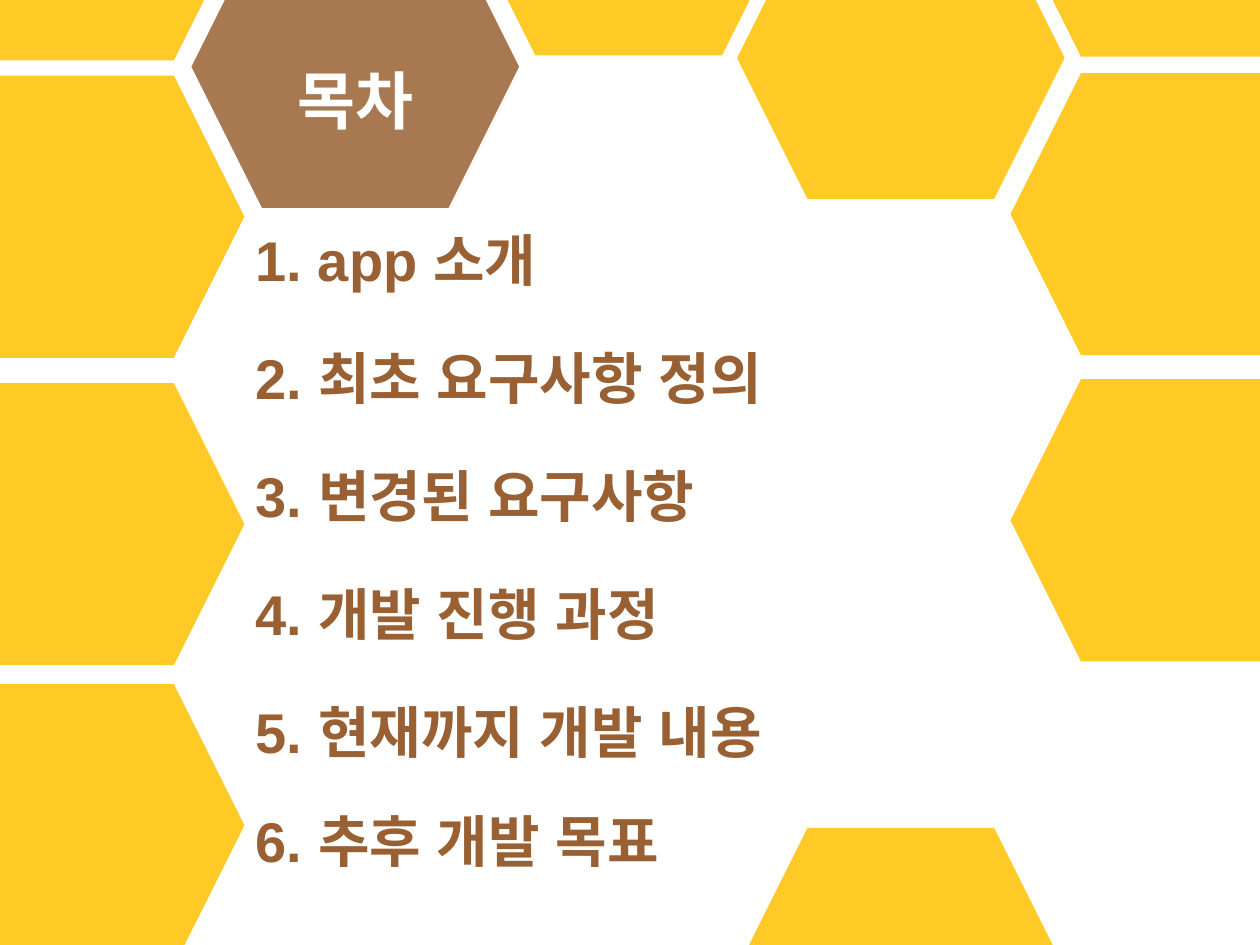
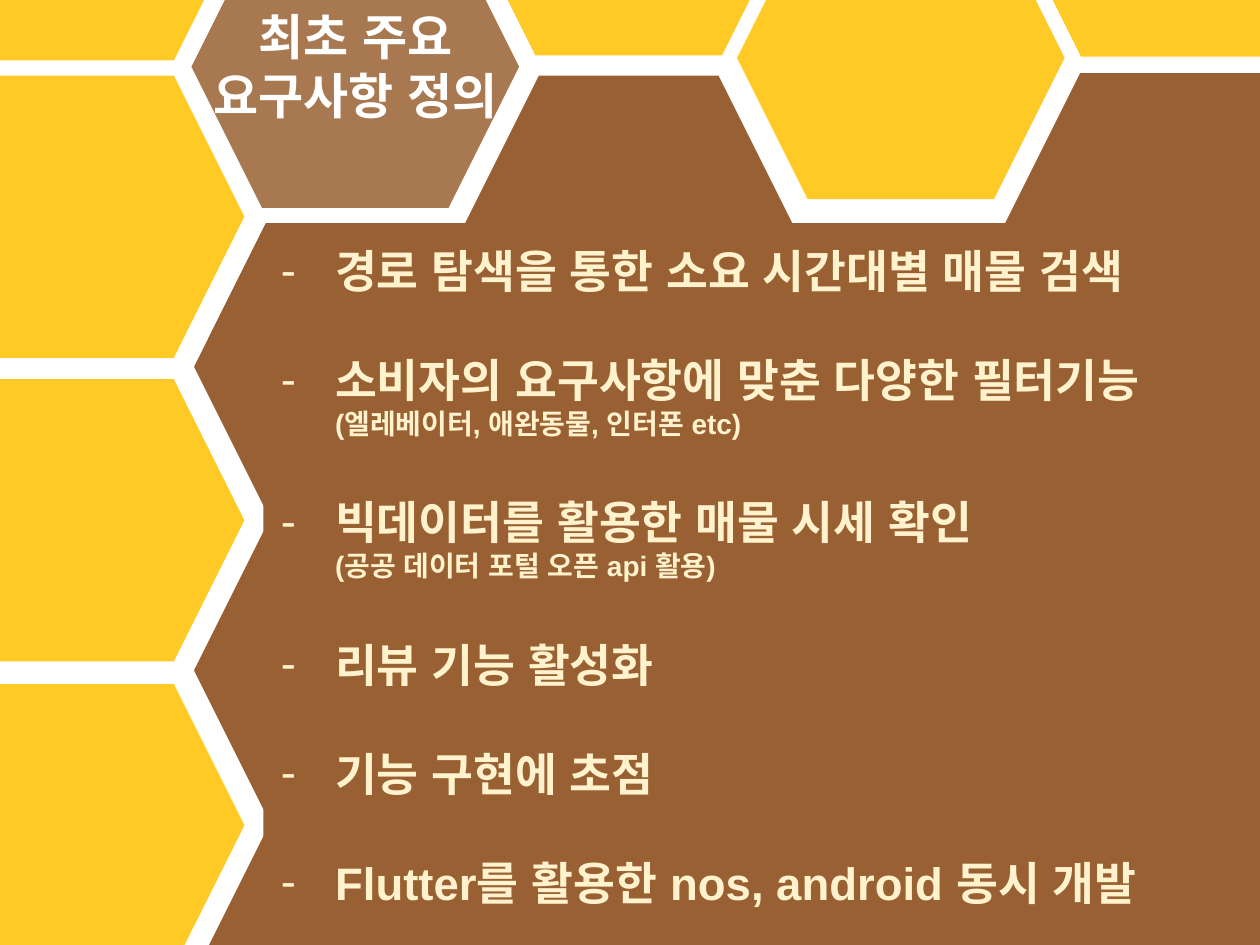
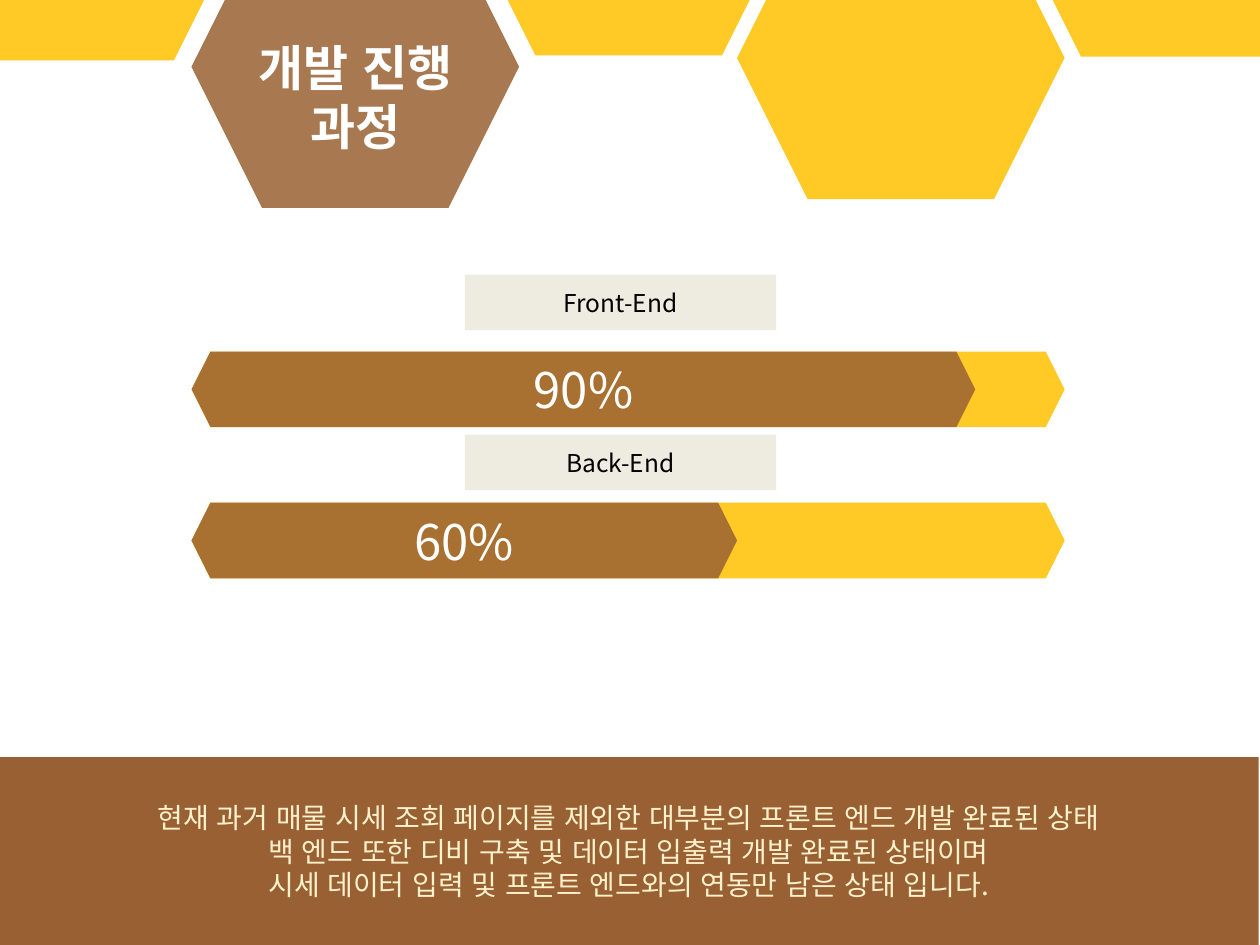
from lxml.etree import SubElement
from pptx import Presentation
from pptx.dml.color import RGBColor
from pptx.enum.lang import MSO_LANGUAGE_ID as LANG
from pptx.enum.shapes import MSO_SHAPE as SHAPE
from pptx.enum.text import MSO_ANCHOR as ANCHOR, MSO_AUTO_SIZE as AUTO_SIZE, PP_ALIGN as ALIGN
from pptx.oxml.ns import qn
from pptx.util import Inches, Pt

COLORS = {
    "honey": "FFC000",
    "brown": "996133",
    "cream": "FFF2CC",
    "label": "EEECE1",
    "white": "FFFFFF",
    "black": "000000",
}
LATIN_FONT, KOREAN_FONT = "Arial", "Noto Sans CJK KR"
COLUMNS = [-0.66, 1.52, 3.69, 5.85, 8.02]
CELL_SIZE = (2.6, 2.24)
TOP_CELLS = [(4, -1.79), (2, -1.8), (0, -1.76), (3, -0.66)]

AGENDA = ["1. app 소개", "2. 최초 요구사항 정의", "3. 변경된 요구사항",
          "4. 개발 진행 과정", "5. 현재까지 개발 내용", "6. 추후 개발 목표"]
REQUIREMENTS = [
    ("경로 탐색을 통한 소요 시간대별 매물 검색", None),
    ("소비자의 요구사항에 맞춘 다양한 필터기능", "(엘레베이터, 애완동물, 인터폰 etc)"),
    ("빅데이터를 활용한 매물 시세 확인", "(공공 데이터 포털 오픈 api 활용)"),
    ("리뷰 기능 활성화", None),
    ("기능 구현에 초점", None),
    ("Flutter를 활용한 nos, android 동시 개발", None),
]
STATUS = ["현재 과거 매물 시세 조회 페이지를 제외한 대부분의 프론트 엔드 개발 완료된 상태",
          "백 엔드 또한 디비 구축 및 데이터 입출력 개발 완료된 상태이며",
          "시세 데이터 입력 및 프론트 엔드와의 연동만 남은 상태 입니다."]
# label, label top, bar top, share done, width of the done part
PROGRESS = [("Front-End", 2.18, 2.79, "90%", 6.22),
            ("Back-End", 3.45, 3.99, "60%", 4.33)]
# brown cells that give the requirements panel its honeycomb edge
PANEL_CELLS = [(5.85, 6.57, 2.6, 2.24), (1.54, 1.77, 2.62, 2.28),
               (3.68, 0.6, 2.62, 2.39), (5.87, 1.8, 2.6, 2.24),
               (7.97, 0.58, 2.65, 2.41), (1.54, 4.2, 2.6, 2.24),
               (1.54, 6.62, 2.6, 2.24)]
PANEL_BLOCKS = [(2.09, 2.2, 8.82, 6.6), (2.19, 1.77, 8.19, 1.82)]


def color(name):
    return RGBColor.from_string(COLORS[name])


def add_block(shapes, kind, box, fill, alpha=None):
    block = shapes.add_shape(kind, *map(Inches, box))
    block.shadow.inherit = False
    block.fill.solid()
    block.fill.fore_color.rgb = color(fill)
    block.line.fill.background()
    if alpha:
        rgb = block.element.spPr.find(qn("a:solidFill"))[0]
        SubElement(rgb, qn("a:alpha"), val=str(alpha * 1000))
    return block


def add_cell(slide, column, top, fill="honey"):
    add_block(slide.shapes, SHAPE.HEXAGON, (COLUMNS[column], top, *CELL_SIZE), fill, 85)


def add_run(paragraph, text, size, ink, font=LATIN_FONT, bold=False):
    run = paragraph.add_run()
    run.text = text
    run.font.size, run.font.bold = Pt(size), bold
    run.font.color.rgb = color(ink)
    run.font.name = font
    run.font.language_id = LANG.KOREAN
    # Korean glyphs take the East Asian font
    SubElement(run._r.rPr, qn("a:ea"), typeface=KOREAN_FONT)


def next_paragraph(frame, index):
    return frame.add_paragraph() if index else frame.paragraphs[0]


def write_centered(frame, lines, size, ink, font=KOREAN_FONT, bold=False):
    for index, line in enumerate(lines):
        paragraph = next_paragraph(frame, index)
        paragraph.alignment = ALIGN.CENTER
        add_run(paragraph, line, size, ink, font, bold)


def place(holder, box):
    """Move a placeholder to its box, in front of the honeycomb."""
    holder.left, holder.top, holder.width, holder.height = map(Inches, box)
    holder.element.getparent().append(holder.element)
    frame = holder.text_frame
    frame.word_wrap = True
    frame.auto_size = AUTO_SIZE.NONE
    frame.vertical_anchor = ANCHOR.TOP
    return frame


def add_title(slide, lines, top, height, size=28):
    add_cell(slide, 1, -0.59, "brown")
    frame = place(slide.shapes.title, (1.6, top, 2.44, height))
    frame.margin_left = frame.margin_right = Inches(0.02)
    write_centered(frame, lines, size, "white", LATIN_FONT, True)


def set_indent(paragraph, left, first=0.0, bullet=None):
    props = paragraph._p.get_or_add_pPr()
    props.set("marL", str(Inches(left)))
    props.set("indent", str(Inches(first)))
    if bullet:
        ink = SubElement(props, qn("a:buClr"))
        SubElement(ink, qn("a:srgbClr"), val=COLORS["cream"])
        SubElement(props, qn("a:buFont"), typeface=LATIN_FONT)
        SubElement(props, qn("a:buChar"), char=bullet)
    else:
        SubElement(props, qn("a:buNone"))


def new_slide(deck, layout):
    slide = deck.slides.add_slide(deck.slide_layouts[layout])
    slide.background.fill.solid()
    slide.background.fill.fore_color.rgb = color("white")
    return slide


def add_top_cells(slide):
    for column, top in TOP_CELLS:
        add_cell(slide, column, top)


def build_agenda(deck):
    slide = new_slide(deck, 1)
    add_top_cells(slide)
    for column, top in [(3, 6.57), (4, 0.58), (4, 3.01), (0, 5.43), (0, 0.6), (0, 3.04)]:
        add_cell(slide, column, top)
    add_title(slide, ["목차"], 0.44, 0.71, 36)

    agenda = place(slide.placeholders[1], (1.93, 1.74, 5.23, 5.25))
    for index, topic in enumerate(AGENDA):
        paragraph = next_paragraph(agenda, index)
        set_indent(paragraph, 0)
        last = index == len(AGENDA) - 1
        paragraph.space_before = Pt(0 if index == 0 else 24 if last else 29)
        add_run(paragraph, topic, 32, "brown", bold=True)


def build_requirements(deck):
    slide = new_slide(deck, 1)
    # Brown panel behind the honeycomb
    panel = slide.shapes.add_group_shape()
    for kind, boxes in [(SHAPE.HEXAGON, PANEL_CELLS), (SHAPE.RECTANGLE, PANEL_BLOCKS)]:
        for box in boxes:
            add_block(panel.shapes, kind, box, "brown")
    add_top_cells(slide)
    for top in (5.43, 0.6, 3.01):
        add_cell(slide, 0, top)
    add_title(slide, ["최초 주요 요구사항 정의"], 0, 1.52)

    # Requirements, some with a smaller remark below
    body = place(slide.placeholders[1], (2.06, 1.88, 8.32, 5.89))
    for index, (requirement, remark) in enumerate(REQUIREMENTS):
        paragraph = next_paragraph(body, index)
        set_indent(paragraph, 0.5, -0.43, "-")
        paragraph.space_before = Pt(31 if index else 0)
        add_run(paragraph, requirement, 26, "cream", bold=True)
        if remark:
            paragraph = body.add_paragraph()
            set_indent(paragraph, 0.5)
            paragraph.space_before = Pt(0)
            add_run(paragraph, remark, 16, "cream", bold=True)


def add_progress(slide, label, label_top, bar_top, share, done_width):
    add_block(slide.shapes, SHAPE.HEXAGON, (1.52, bar_top, 6.93, 0.6), "honey", 85)
    done = add_block(slide.shapes, SHAPE.HEXAGON, (1.52, bar_top, done_width, 0.6), "brown", 85)
    write_centered(done.text_frame, [share], 28, "white")
    tag = add_block(slide.shapes, SHAPE.RECTANGLE, (3.69, label_top, 2.47, 0.44), "label")
    write_centered(tag.text_frame, [label], 14, "black")


def build_progress(deck):
    slide = new_slide(deck, 5)
    status = add_block(slide.shapes, SHAPE.RECTANGLE, (-0.01, 6.01, 10, 1.49), "brown")
    write_centered(status.text_frame, STATUS, 16, "cream")
    add_top_cells(slide)
    add_title(slide, ["개발 진행", "과정"], 0.25, 1.04)
    for stage in PROGRESS:
        add_progress(slide, *stage)


def main():
    deck = Presentation()
    deck.slide_width, deck.slide_height = Inches(10), Inches(7.5)
    build_agenda(deck)
    build_requirements(deck)
    build_progress(deck)
    deck.save("out.pptx")


if __name__ == "__main__":
    main()
